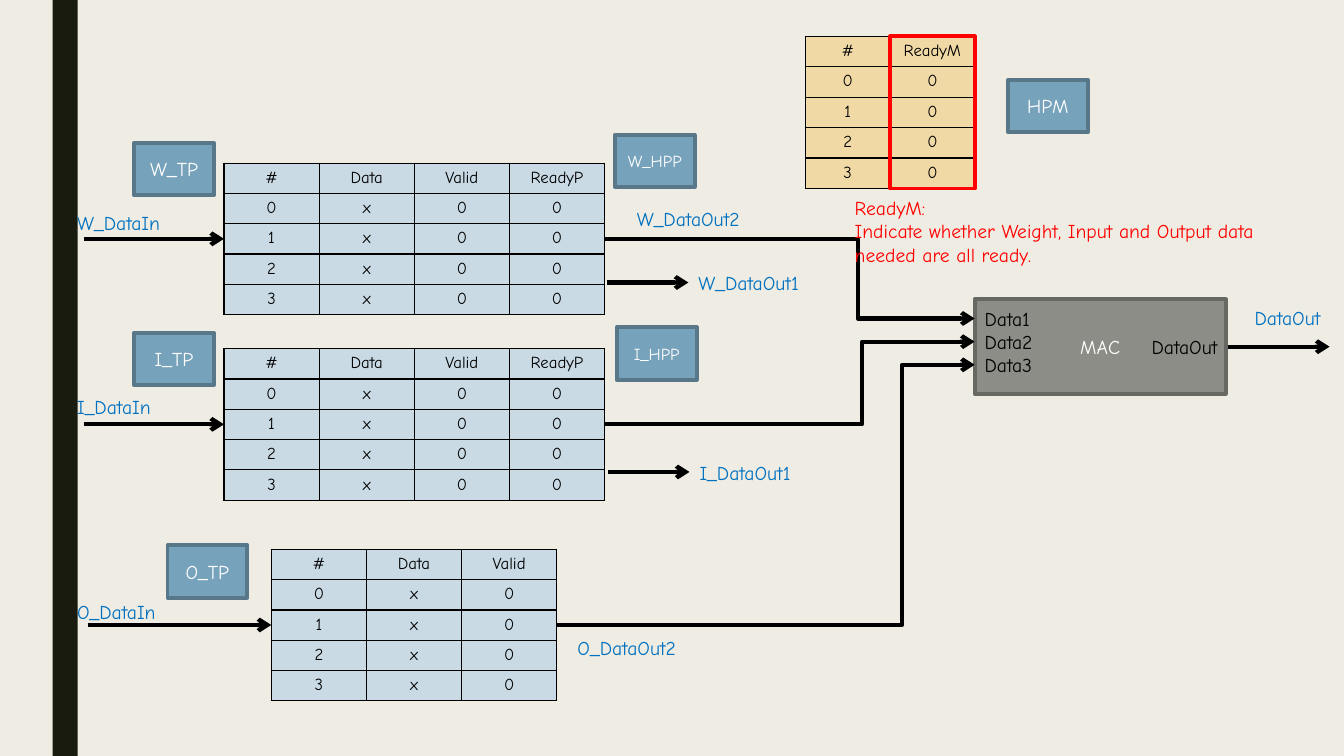
from lxml.etree import SubElement
from pptx import Presentation
from pptx.dml.color import RGBColor
from pptx.enum.shapes import MSO_CONNECTOR as Connector, MSO_SHAPE as Shape
from pptx.enum.text import MSO_ANCHOR as Anchor, MSO_AUTO_SIZE as AutoSize, PP_ALIGN as Align
from pptx.oxml.ns import qn
from pptx.util import Pt

FONT = "Comic Neue"
BLACK = RGBColor(0, 0, 0)
WHITE = RGBColor(255, 255, 255)
RED = RGBColor(255, 0, 0)
SIGNAL_BLUE = RGBColor(0x00, 0x70, 0xC0)
CREAM = RGBColor(0xEF, 0xED, 0xE3)
DARK_BAR = RGBColor(0x19, 0x1B, 0x0E)
BANK_FILL = RGBColor(0xC9, 0xDA, 0xE4)
READY_FILL = RGBColor(0xF0, 0xD9, 0xA5)
BADGE_FILL = RGBColor(0x77, 0xA2, 0xBB)
BADGE_LINE = RGBColor(0x58, 0x78, 0x8A)
MAC_FILL = RGBColor(0x8C, 0x8D, 0x86)
MAC_LINE = RGBColor(0x68, 0x68, 0x63)

COLUMN_WIDTH = 68
ACCESS_OFFSET = 54
MAC_BOX = (696.2, 213.8, 179.3, 67.7)
PORT_OFFSET, PORT_GAP = 13.7, 16.55


def write(frame, text, size=14, color=BLACK, align=Align.LEFT):
    for index, line in enumerate(text.split("\n")):
        paragraph = frame.paragraphs[0] if index == 0 else frame.add_paragraph()
        paragraph.alignment = align
        run = paragraph.add_run()
        run.text = line
        run.font.name = FONT
        run.font.size = Pt(size)
        run.font.bold = False
        run.font.color.rgb = color


def add_label(slide, text, left, top, width, height=24.2, wrap=False, **style):
    label = slide.shapes.add_textbox(Pt(left), Pt(top), Pt(width), Pt(height))
    label.text_frame.word_wrap = wrap
    label.text_frame.auto_size = AutoSize.SHAPE_TO_FIT_TEXT
    write(label.text_frame, text, **style)


def add_box(slide, left, top, width, height, fill=None, line=None, text="", size=14):
    shape = slide.shapes.add_shape(Shape.RECTANGLE, Pt(left), Pt(top), Pt(width), Pt(height))
    shape.shadow.inherit = False
    if fill is None:
        shape.fill.background()
    else:
        shape.fill.solid()
        shape.fill.fore_color.rgb = fill
    if line is None:
        shape.line.fill.background()
    else:
        shape.line.color.rgb = line
        shape.line.width = Pt(2.75)
    if text:
        shape.text_frame.vertical_anchor = Anchor.MIDDLE
        write(shape.text_frame, text, size=size, color=WHITE, align=Align.CENTER)


def add_badge(slide, text, left, top, size=14):
    add_box(slide, left, top, 57, 37.6, BADGE_FILL, BADGE_LINE, text, size)


def add_arrow(slide, start, end, bend=None):
    kind = Connector.STRAIGHT if bend is None else Connector.ELBOW
    connector = slide.shapes.add_connector(kind, *(Pt(value) for value in start + end))
    connector.line.color.rgb = BLACK
    connector.line.width = Pt(3)
    properties = connector._element.spPr
    SubElement(properties.find(qn("a:ln")), qn("a:tailEnd"), type="arrow")
    SubElement(properties, qn("a:effectLst"))
    if bend is not None:
        share = round((bend - start[0]) / (end[0] - start[0]) * 100000)
        guides = properties.find(qn("a:prstGeom")).get_or_add_avLst()
        SubElement(guides, qn("a:gd"), name="adj1", fmla=f"val {share}")


def add_borders(cell):
    properties = cell._tc.get_or_add_tcPr()
    for index, side in enumerate(("lnL", "lnR", "lnT", "lnB")):
        border = properties.makeelement(qn(f"a:{side}"), {"w": str(Pt(1))})
        properties.insert(index, border)
        fill = SubElement(border, qn("a:solidFill"))
        SubElement(fill, qn("a:srgbClr"), val=str(BLACK))


def add_register_table(slide, headers, left, top, column_width, row_height, fill):
    rows = [headers]
    for number in range(4):
        rows.append([str(number)] + ["x" if name == "Data" else "0" for name in headers[1:]])
    table = slide.shapes.add_table(
        len(rows), len(headers), Pt(left), Pt(top),
        Pt(column_width * len(headers)), Pt(row_height * len(rows))).table
    table.first_row = False
    table.horz_banding = False
    for column in table.columns:
        column.width = Pt(column_width)
    for row, values in zip(table.rows, rows):
        row.height = Pt(row_height)
        for cell, value in zip(row.cells, values):
            cell.fill.solid()
            cell.fill.fore_color.rgb = fill
            write(cell.text_frame, value, size=12, align=Align.CENTER)
            add_borders(cell)


def add_bank(slide, letter, headers, left, top, badge, arrow_start, label_offset, port, bend):
    access = top + ACCESS_OFFSET
    right = left + COLUMN_WIDTH * len(headers)
    add_register_table(slide, headers, left, top, COLUMN_WIDTH, 20.4, BANK_FILL)
    add_badge(slide, f"{letter}_TP", left + badge[0], top + badge[1])
    add_arrow(slide, (arrow_start, access), (left, access))
    add_label(slide, f"{letter}_DataIn", 48, top + label_offset, 82, color=SIGNAL_BLUE)
    port_top = MAC_BOX[1] + PORT_OFFSET + PORT_GAP * port
    add_arrow(slide, (right, access), (MAC_BOX[0], port_top), bend)


def add_first_output(slide, letter, left, top, badge_left, badge_top):
    add_badge(slide, f"{letter}_HPP", badge_left, badge_top, size=12)
    add_arrow(slide, (left, top), (left + 58.3, top))
    add_label(slide, f"{letter}_DataOut1", left + 58.4, top - 11.7, 100, color=SIGNAL_BLUE)


def add_mac(slide, left, top, width, height):
    add_box(slide, left, top, width, height, MAC_FILL, MAC_LINE, "MAC")
    for port in range(3):
        port_top = top + PORT_OFFSET + PORT_GAP * port
        add_label(slide, f"Data{port + 1}", left, port_top - 12, 54)
    right, middle = left + width, top + height / 2
    add_label(slide, "DataOut", right - 70, middle - 12, 71.3, align=Align.RIGHT)
    add_arrow(slide, (right + 1.5, middle), (949.7, middle))
    add_label(slide, "DataOut", right + 13.6, top + 1.5, 71, color=SIGNAL_BLUE)


def add_ready_monitor(slide, left, top):
    column = 60.5
    add_register_table(slide, ["#", "ReadyM"], left, top, column, 21.74, READY_FILL)
    add_box(slide, left + column, top, column, 108.7, line=RED)
    add_badge(slide, "HPM", left + 144.7, top + 31)
    note = "ReadyM:\nIndicate whether Weight, Input and Output data\nneeded are all ready."
    add_label(slide, note, left + 28.1, top + 110.1, 356.4, 58.3, wrap=True, color=RED)


def build_slide(presentation):
    slide = presentation.slides.add_slide(presentation.slide_layouts[6])
    slide.background.fill.solid()
    slide.background.fill.fore_color.rgb = CREAM
    add_box(slide, 37.5, 0, 18, 540, DARK_BAR)
    add_mac(slide, *MAC_BOX)
    headers = ["#", "Data", "Valid", "ReadyP"]
    add_bank(slide, "W", headers, 160, 116.6, (-64.2, -14.6), 60, 30.3, 0, 612.7)
    add_bank(slide, "I", headers, 160, 249.1, (-64.2, -11.5), 60, 29.5, 1, 615.8)
    add_bank(slide, "O", headers[:3], 193.8, 392.4, (-74.2, -3), 62.7, 32.4, 2, 644.2)
    add_first_output(slide, "W", 433.4, 201.8, 439.2, 96.3)
    add_first_output(slide, "I", 434.2, 337.1, 440.6, 233.8)
    add_label(slide, "W_DataOut2", 447.8, 144.3, 103, color=SIGNAL_BLUE)
    add_label(slide, "O_DataOut2", 405.4, 450.9, 100, color=SIGNAL_BLUE)
    add_ready_monitor(slide, 575.3, 26)


def main():
    presentation = Presentation()
    presentation.slide_width = Pt(960)
    presentation.slide_height = Pt(540)
    build_slide(presentation)
    presentation.save("out.pptx")


if __name__ == "__main__":
    main()
